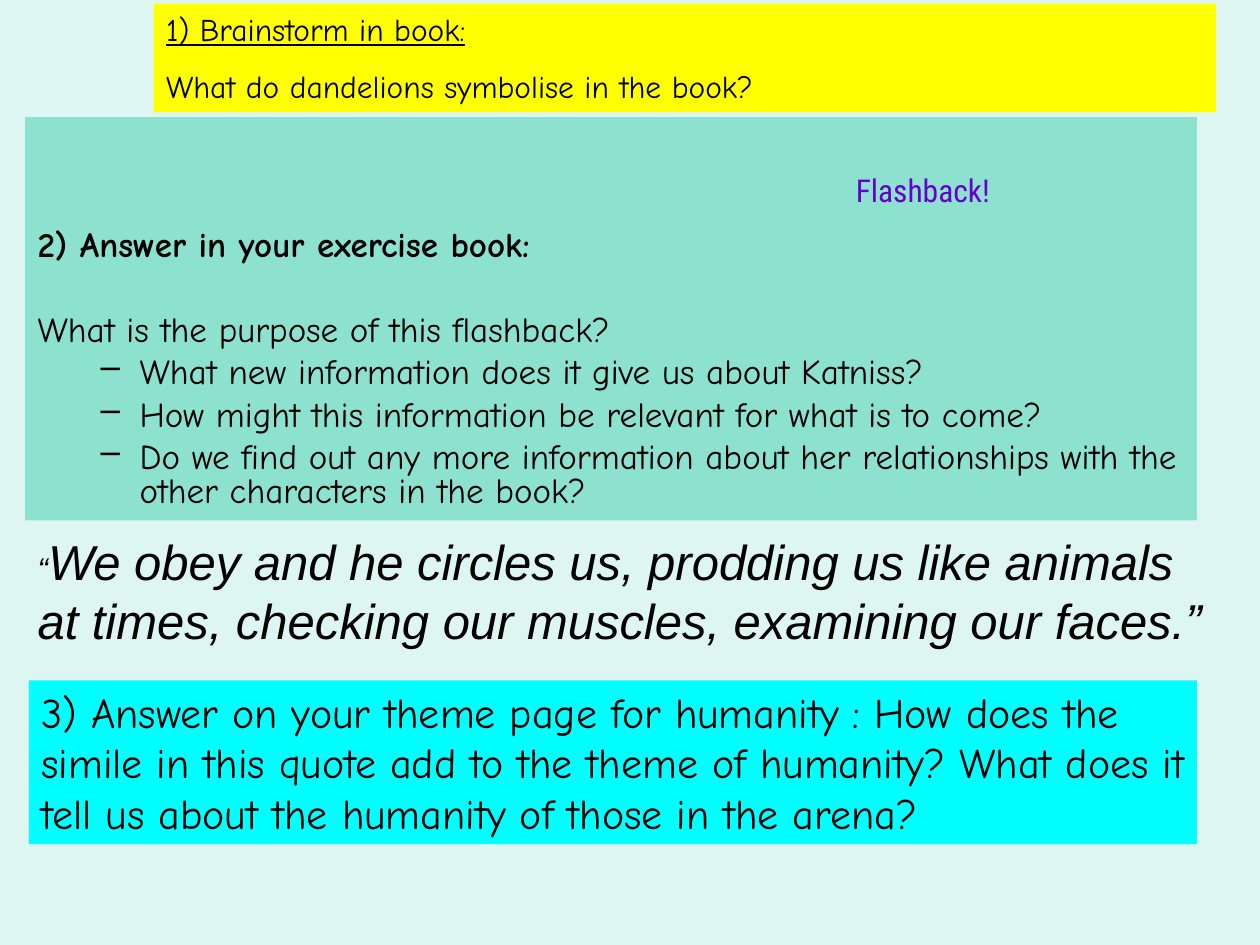
"""Build a lesson slide of reading questions and a quote."""
from lxml import etree
from pptx import Presentation, util as u
from pptx.dml.color import RGBColor
from pptx.enum import shapes, text
from pptx.oxml.ns import qn

WIDE, HIGH = 10, 7.5
HUES = {"back": "DEF6F1", "sun": "FFFF00", "mint": "8CE1CF",
        "aqua": "00FFFF", "ink": "000000", "plum": "6600CC"}
HAND, SANS, SLIM = "Comic Neue", "Arial", "Roboto Condensed"

BOXES = [
    {"at": (1.22, 0.03, 8.43, 0.86), "fill": "sun", "size": 18, "font": HAND,
     "paras": [{"runs": ["1) Brainstorm in book:"], "under": True},
               {"runs": ["What do dandelions symbolise in the book?"], "gap": 11.2}]},
    {"at": (0.2, 0.93, 9.3, 3.2), "fill": "mint", "size": 20, "font": HAND,
     "top": 0.9, "lead": 0.8,
     "paras": [{"runs": ["2) Answer in your exercise book:"], "bold": True},
               {"runs": ["What is the purpose of this flashback?"], "gap": 29.3}]
     + [{"runs": [line], "gap": 5, "dash": True} for line in (
         "What new information does it give us about Katniss?",
         "How might this information be relevant for what is to come?",
         "Do we find out any more information about her relationships "
         "with the other characters in the book?")]},
    {"at": (5.71, 1.31, 3.23, 0.98), "size": 18, "font": SLIM, "hue": "plum",
     "wrap": False, "paras": [{"runs": ["Flashback!"], "mid": True}]},
    {"at": (0.2, 4.17, 9.5, 1.04), "size": 28, "font": SANS,
     "paras": [{"runs": ["“", "We obey and he circles us, prodding us like animals at times, "
                         "checking our muscles, examining our faces.”"],
                "sizes": [18, 28], "slant": True}]},
    {"at": (0.23, 5.4, 9.27, 1.3), "fill": "aqua", "size": 24, "font": HAND,
     "paras": [{"runs": ["3) Answer on your theme page for humanity : How does the simile "
                         "in this quote add to the theme of humanity? What does it tell us "
                         "about the humanity of those in the arena?"]}]},
]


def tint(fill, name):
    fill.solid()
    fill.fore_color.rgb = RGBColor.from_string(HUES[name])


def dash(para):
    para.level = 1
    props = para._p.get_or_add_pPr()
    props.set("marL", str(u.Inches(0.81)))
    props.set("indent", str(u.Inches(-0.31)))
    etree.SubElement(props, qn("a:buChar")).set("char", "–")


def write(para, item, box):
    if item.get("dash"):
        dash(para)
    para.alignment = text.PP_ALIGN.CENTER if item.get("mid") else text.PP_ALIGN.LEFT
    para.line_spacing = box.get("lead", 1.0)
    para.space_before = u.Pt(item.get("gap", 0))
    sizes = item.get("sizes", [box["size"]])
    for words, size in zip(item["runs"], sizes):
        run = para.add_run()
        run.text = words
        font = run.font
        font.name, font.size = box["font"], u.Pt(size)
        font.bold = item.get("bold", False)
        font.italic = item.get("slant", False)
        font.underline = item.get("under", False)
        tint(font.fill, box.get("hue", "ink"))


def place(slide, box):
    at = [u.Inches(n) for n in box["at"]]
    if "fill" in box:
        shape = slide.shapes.add_shape(shapes.MSO_SHAPE.RECTANGLE, *at)
        shape.shadow.inherit = False
        tint(shape.fill, box["fill"])
        shape.line.fill.background()
    else:
        shape = slide.shapes.add_textbox(*at)
    frame = shape.text_frame
    frame.word_wrap = box.get("wrap", True)
    frame.vertical_anchor = text.MSO_ANCHOR.TOP
    frame.margin_top = u.Inches(box.get("top", 0.05))
    for i, item in enumerate(box["paras"]):
        write(frame.add_paragraph() if i else frame.paragraphs[0], item, box)


def main():
    deck = Presentation()
    deck.slide_width, deck.slide_height = u.Inches(WIDE), u.Inches(HIGH)
    slide = deck.slides.add_slide(deck.slide_layouts[6])
    tint(slide.background.fill, "back")
    for box in BOXES:
        place(slide, box)
    deck.save("out.pptx")


if __name__ == "__main__":
    main()
